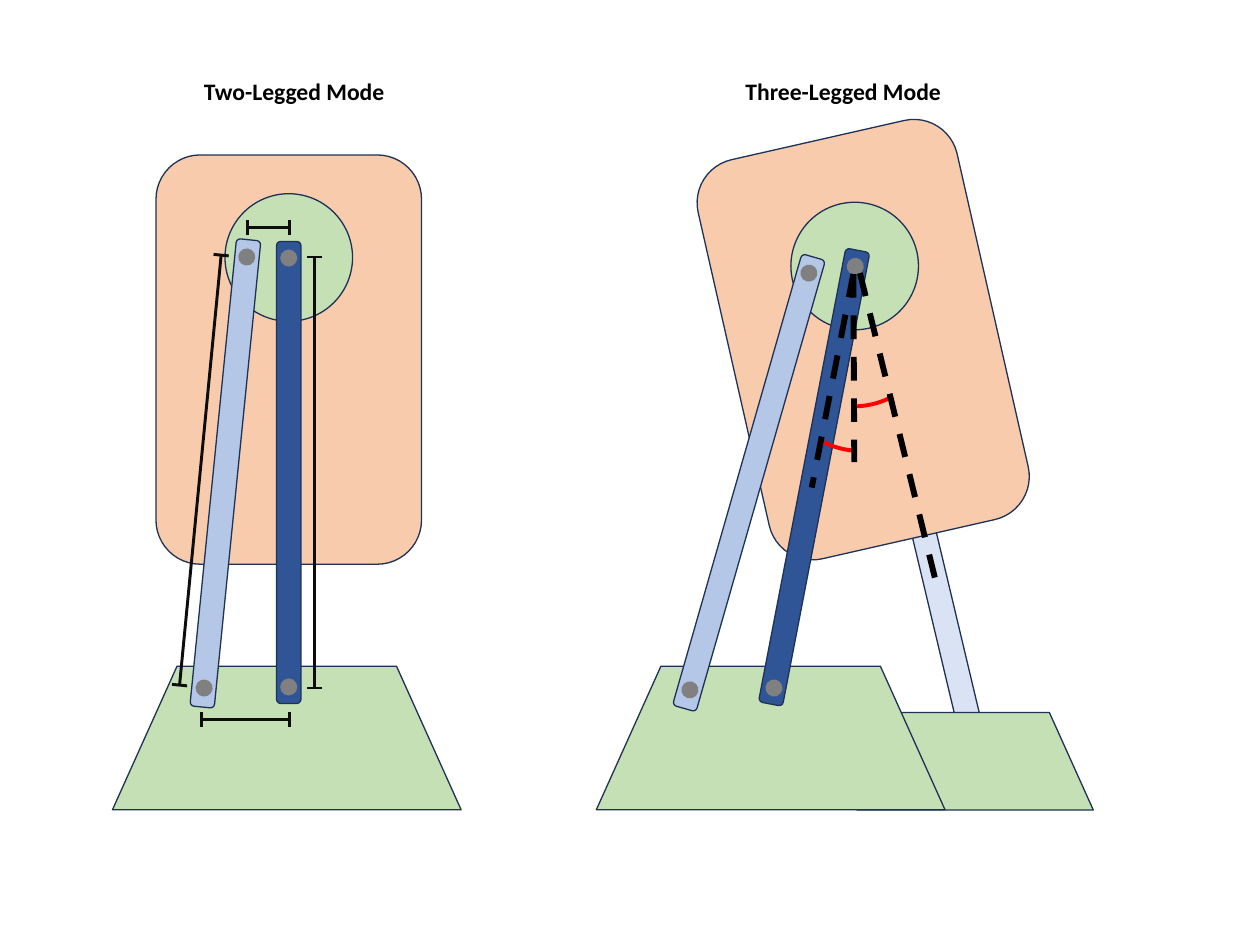
"""Build a slide comparing a robot's two-legged and three-legged modes."""
from math import hypot

from lxml.etree import SubElement
from pptx import Presentation
from pptx.dml.color import RGBColor
from pptx.enum.dml import MSO_LINE
from pptx.enum.shapes import MSO_CONNECTOR, MSO_SHAPE
from pptx.enum.text import MSO_ANCHOR, MSO_AUTO_SIZE, PP_ALIGN
from pptx.oxml.ns import qn
from pptx.util import Pt

rgb = RGBColor.from_string
GREEN, PEACH, GREY = "C5E0B4", "F8CBAD", "808080"
DARK, LIGHT, PALE = "2F5597", "B4C7E7", "DAE3F3"
OUTLINE, DIMENSION, BLACK, RED = "1E3256", "0D0D0D", "000000", "FF0000"


def add_part(parent, kind, cx, cy, w, h, fill=None, line=OUTLINE, weight=1, rot=0, adj=()):
    sp = parent.add_shape(kind, Pt(cx - w / 2), Pt(cy - h / 2), Pt(w), Pt(h))
    sp.shadow.inherit = False
    sp.rotation = rot
    for i, value in enumerate(adj):
        sp.adjustments[i] = value
    if fill:
        sp.fill.solid()
        sp.fill.fore_color.rgb = rgb(fill)
    else:
        sp.fill.background()
    if line:
        sp.line.color.rgb = rgb(line)
        sp.line.width = Pt(weight)
    else:
        sp.line.fill.background()


def add_text(parent, text, x, y, w, h, size=18, color=BLACK, bold=True, font="Calibri"):
    tf = parent.add_textbox(Pt(x), Pt(y), Pt(w), Pt(h)).text_frame
    tf.word_wrap = False
    tf.auto_size = MSO_AUTO_SIZE.SHAPE_TO_FIT_TEXT
    tf.vertical_anchor = MSO_ANCHOR.TOP
    p = tf.paragraphs[0]
    p.alignment = PP_ALIGN.LEFT
    r = p.add_run()
    r.text = text
    r.font.name, r.font.size, r.font.bold = font, Pt(size), bold
    r.font.color.rgb = rgb(color)


prs = Presentation()
prs.slide_width, prs.slide_height = Pt(960), Pt(720)
shapes = prs.slides.add_slide(prs.slide_layouts[6]).shapes

back_legs = [(695.2, 369.4, 382.3, 76.6, PALE, (650.5, 220.3), (733.3, 565.2))]
front_legs = [
    (220, 360, 352, 90, DARK, (220, 196.6), (220, 523.4)),
    (171.7, 360.7, 357.8, 95.7, LIGHT, (188, 195.8), (155.5, 524.2)),
    (620.3, 363.6, 352, 100.9, DARK, (651.6, 203), (589.7, 524.2)),
    (570.6, 367.9, 357.8, 106, LIGHT, (616.3, 208.1), (525.6, 525.6)),
]
body_parts = [
    (MSO_SHAPE.TRAPEZOID, 743, 580, 180, 74.2, GREEN, 0, [0.45]),
    (MSO_SHAPE.ROUNDED_RECTANGLE, 657.7, 258.8, 202.3, 311.8, PEACH, 347.2, []),
    (MSO_SHAPE.ROUNDED_RECTANGLE, 220, 274, 202.3, 311.8, PEACH, 0, []),
]
for hub_x, hub_y, base_x in ((220, 196.2, 218.5), (651.2, 202.7, 587.2)):
    body_parts.append((MSO_SHAPE.OVAL, hub_x, hub_y, 97.2, 97.2, GREEN, 0, []))
    body_parts.append((MSO_SHAPE.TRAPEZOID, base_x, 562.3, 265.7, 109.4, GREEN, 0, [0.45]))

for parts, legs in (([], back_legs), (body_parts, front_legs)):
    for kind, cx, cy, w, h, fill, rot, adj in parts:
        add_part(shapes, kind, cx, cy, w, h, fill, rot=rot, adj=adj)
    for cx, cy, length, angle, fill, *pins in legs:
        leg = shapes.add_group_shape().shapes
        add_part(leg, MSO_SHAPE.ROUNDED_RECTANGLE, cx, cy, length, 18.6, fill, rot=angle)
        for pin_x, pin_y in pins:
            add_part(leg, MSO_SHAPE.OVAL, pin_x, pin_y, 13, 13, GREY, line=None, rot=angle)

for cx, cy, rot, adj in ((655.5, 281.2, 180, (164.64, 179.18)),
                         (650.5, 247.3, 124.6, (178.53, 195.18))):
    add_part(shapes, MSO_SHAPE.ARC, cx, cy, 124.6, 124.6, line=RED, weight=3, rot=rot, adj=adj)

strokes = []
half_tick = 5.8
for x1, y1, x2, y2 in ((153.4, 547.9, 220.3, 547.9), (188.6, 173.5, 220.3, 173.5),
                       (239.8, 524.2, 239.8, 195.8), (136.8, 522, 168.5, 194.4)):
    dimension = shapes.add_group_shape().shapes
    length = hypot(x2 - x1, y2 - y1)
    dx, dy = half_tick * (y1 - y2) / length, half_tick * (x2 - x1) / length
    strokes.append((dimension, x1, y1, x2, y2, DIMENSION, 2.25, None))
    for x, y in ((x1, y1), (x2, y2)):
        strokes.append((dimension, x + dx, y + dy, x - dx, y - dy, DIMENSION, 2.25, None))
for x1, y1, x2, y2 in ((650.2, 208.8, 618.5, 371.5), (650.2, 208.8, 650.9, 352.1),
                       (655.2, 208.1, 713.5, 445)):
    strokes.append((shapes, x1, y1, x2, y2, BLACK, 4.5, MSO_LINE.DASH))

for parent, x1, y1, x2, y2, color, weight, dash in strokes:
    line = parent.add_connector(MSO_CONNECTOR.STRAIGHT, Pt(x1), Pt(y1), Pt(x2), Pt(y2))
    line.line.color.rgb = rgb(color)
    line.line.width = Pt(weight)
    if dash:
        line.line.dash_style = dash
    SubElement(line._element.spPr, qn("a:effectLst"))

add_text(shapes, "Two-Legged Mode", 148.3, 54.7, 152.6, 29)
add_text(shapes, "Three-Legged Mode", 560.9, 54.7, 164.2, 29)

prs.save("out.pptx")
